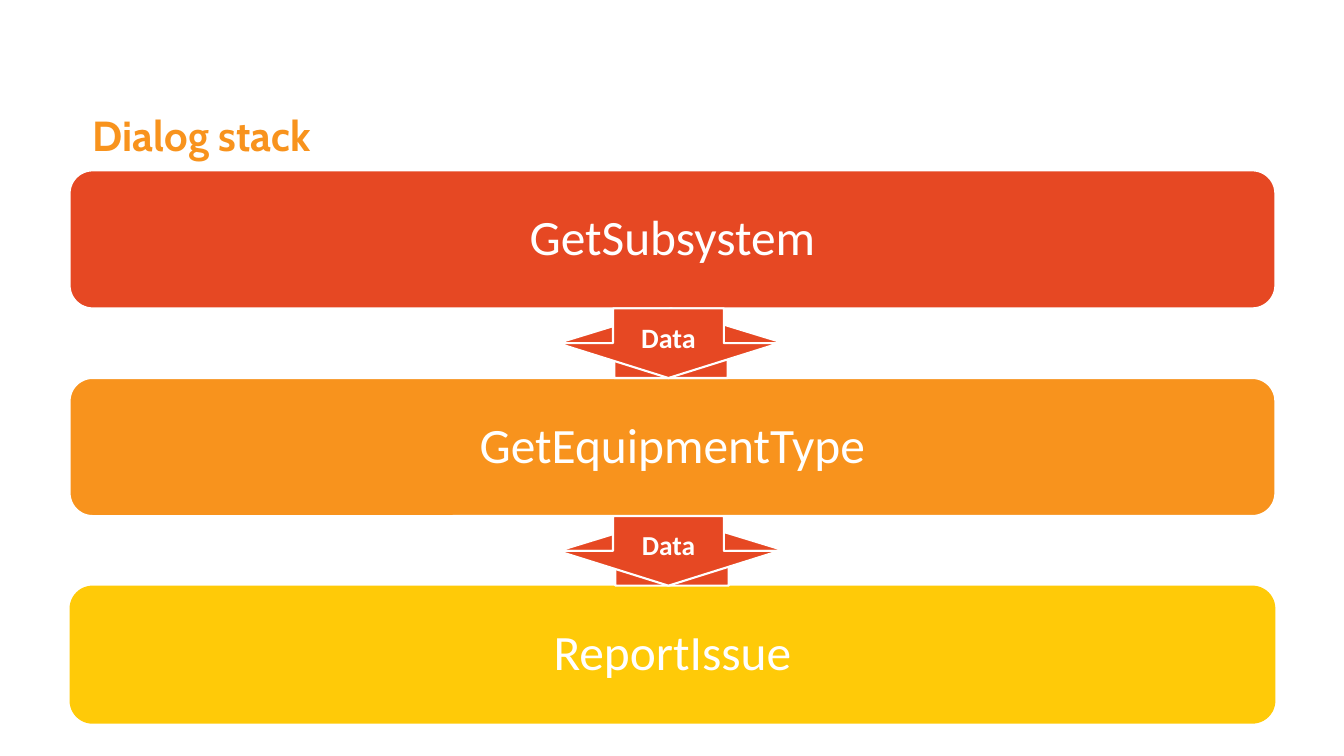
from dataclasses import dataclass
from typing import Optional

from pptx import Presentation
from pptx.dml.color import RGBColor
from pptx.enum.shapes import MSO_SHAPE
from pptx.enum.text import MSO_ANCHOR, PP_ALIGN
from pptx.util import Emu, Pt

EMU_PER_PX = 9144  # 100 px to the inch

RED = RGBColor(0xE6, 0x48, 0x23)
ORANGE = RGBColor(0xF8, 0x93, 0x1D)
YELLOW = RGBColor(0xFF, 0xCA, 0x08)
WHITE = RGBColor(0xFF, 0xFF, 0xFF)

BAR_LEFT, BAR_WIDTH, BAR_HEIGHT = 69, 1196, 137
ARROW_LEFT, ARROW_HEIGHT = 553, 69
UP_WIDTH, DOWN_WIDTH = 225, 220
FIRST_TOP = 169
PITCH = BAR_HEIGHT + ARROW_HEIGHT


@dataclass(frozen=True)
class Dialog:
    name: str
    fill: RGBColor
    outline: Optional[RGBColor] = WHITE


@dataclass(frozen=True)
class DataArrow:
    up_left: int
    label_size: float


DIALOGS = [
    Dialog("GetSubsystem", RED),
    Dialog("GetEquipmentType", ORANGE),
    Dialog("ReportIssue", YELLOW, None),
]
DATA_ARROWS = [DataArrow(ARROW_LEFT, 20), DataArrow(ARROW_LEFT + 1, 19.6)]


def px(length: int) -> Emu:
    return Emu(length * EMU_PER_PX)


def write_text(shape, text: str, margins: tuple[int, int], anchor: MSO_ANCHOR,
               alignment: PP_ALIGN, font_format: dict) -> None:
    frame = shape.text_frame
    horizontal, vertical = margins
    frame_format = {
        "word_wrap": True, "vertical_anchor": anchor,
        "margin_left": px(horizontal), "margin_right": px(horizontal),
        "margin_top": px(vertical), "margin_bottom": px(vertical),
    }
    for name, value in frame_format.items():
        setattr(frame, name, value)
    paragraph = frame.paragraphs[0]
    paragraph.alignment = alignment
    paragraph.line_spacing = 0.9
    run = paragraph.add_run()
    run.text = text
    color = font_format.pop("color")
    for name, value in font_format.items():
        setattr(run.font, name, value)
    run.font.color.rgb = color


def draw_shape(slide, kind: MSO_SHAPE, box: tuple[int, int, int, int],
               fill: RGBColor, outline: Optional[RGBColor] = WHITE):
    shape = slide.shapes.add_shape(kind, *map(px, box))
    shape.shadow.inherit = False
    shape.fill.solid()
    shape.fill.fore_color.rgb = fill
    if outline is None:
        shape.line.fill.background()
    else:
        shape.line.color.rgb = outline
        shape.line.width = Pt(1.5)
    return shape


def label_shape(shape, text: str, anchor: MSO_ANCHOR, size: float, bold: bool) -> None:
    write_text(shape, text, (20, 16), anchor, PP_ALIGN.CENTER,
               {"name": "Calibri", "size": Pt(size), "bold": bold, "color": WHITE})


def main() -> None:
    presentation = Presentation()
    presentation.slide_width, presentation.slide_height = px(1333), px(750)
    slide = presentation.slides.add_slide(presentation.slide_layouts[6])

    # Title
    title = slide.shapes.add_textbox(px(92), px(114), px(1150), px(70))
    write_text(title, "Dialog stack", (0, 0), MSO_ANCHOR.TOP, PP_ALIGN.LEFT,
               {"name": "Cabin", "size": Pt(30), "bold": True, "color": ORANGE})

    # Dialog bars, the lowest one furthest back
    for level, dialog in reversed(list(enumerate(DIALOGS))):
        box = (BAR_LEFT, FIRST_TOP + level * PITCH, BAR_WIDTH, BAR_HEIGHT)
        bar = draw_shape(slide, MSO_SHAPE.ROUNDED_RECTANGLE, box, dialog.fill, dialog.outline)
        label_shape(bar, dialog.name, MSO_ANCHOR.MIDDLE, 35.3, False)

    # Data arrows between the bars, each down arrow over its up arrow
    for level, arrow in enumerate(DATA_ARROWS):
        top = FIRST_TOP + BAR_HEIGHT + level * PITCH
        draw_shape(slide, MSO_SHAPE.UP_ARROW, (arrow.up_left, top, UP_WIDTH, ARROW_HEIGHT), RED)
        down = draw_shape(slide, MSO_SHAPE.DOWN_ARROW,
                          (ARROW_LEFT, top, DOWN_WIDTH, ARROW_HEIGHT), RED)
        label_shape(down, "Data", MSO_ANCHOR.TOP, arrow.label_size, True)

    presentation.save("out.pptx")


if __name__ == "__main__":
    main()
